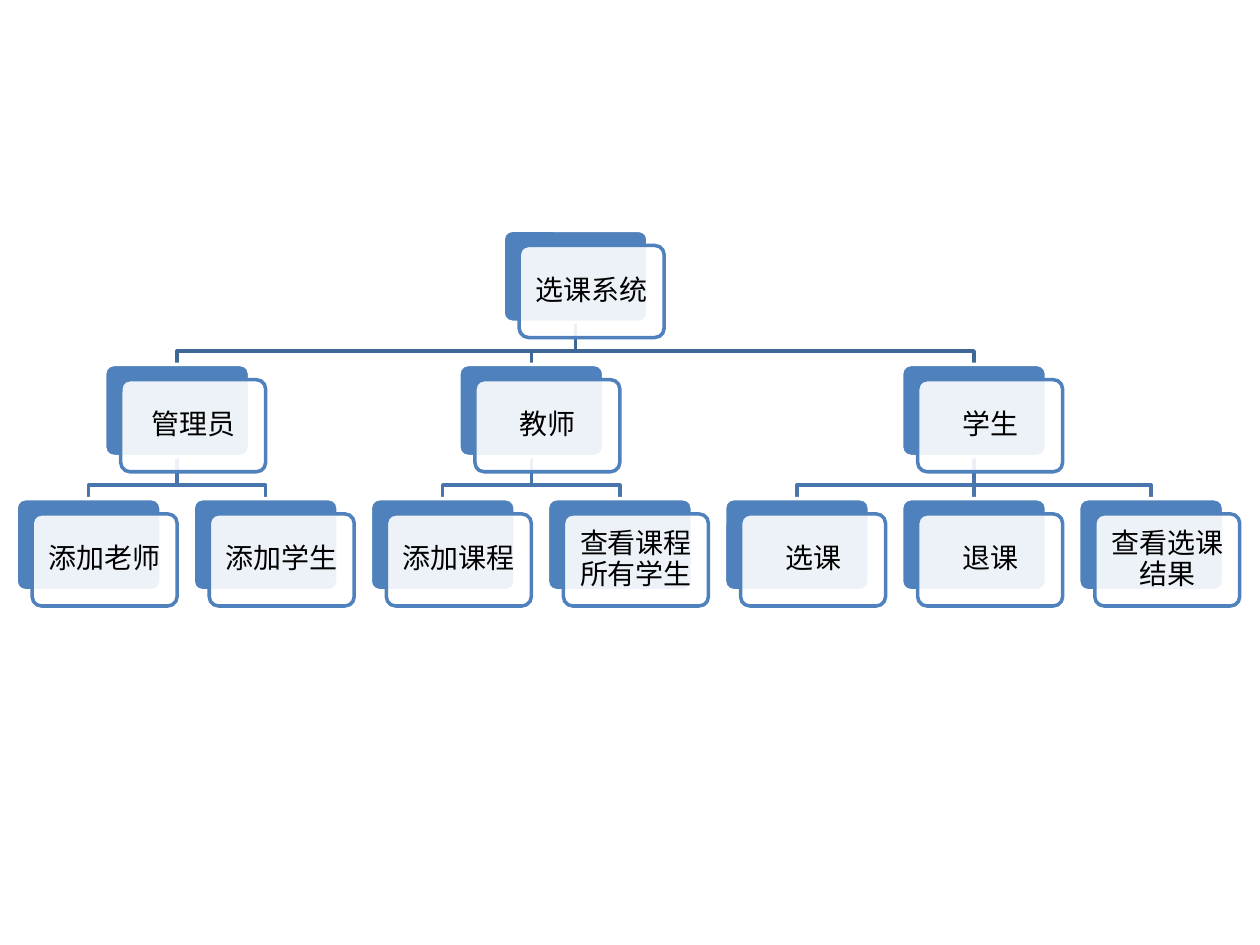
import pptx
from lxml import etree
from pptx.dml.color import RGBColor
from pptx.enum.shapes import MSO_CONNECTOR, MSO_SHAPE
from pptx.enum.text import MSO_ANCHOR, PP_ALIGN
from pptx.oxml.ns import qn
from pptx.util import Pt

COLORS = {
    "accent": "4F81BD",
    "white": "FFFFFF",
    "text": "000000",
    "upper_branch": "3F6797",
    "lower_branch": "4875AC",
}
CARD_WIDTH, CARD_HEIGHT = 82.8, 52.6
COLUMN_STEP, ROW_STEP = 101.2, 76.7
FRONT_DX, FRONT_DY = 9.2, 8.7
BEND = 0.68  # share of the gap between rows above the horizontal run

SYSTEM = ("选课系统", [
    ("管理员", [("添加老师", []), ("添加学生", [])]),
    ("教师", [("添加课程", []), ("查看课程所有学生", [])]),
    ("学生", [("选课", []), ("退课", []), ("查看选课结果", [])]),
])


def rgb(name):
    return RGBColor.from_string(COLORS[name])


def style_line(shape, color):
    shape.line.color.rgb = rgb(color)
    shape.line.width = Pt(2)


def add_panel(slide, left, top, fill, line):
    panel = slide.shapes.add_shape(MSO_SHAPE.ROUNDED_RECTANGLE, Pt(left), Pt(top),
                                   Pt(CARD_WIDTH), Pt(CARD_HEIGHT))
    panel.adjustments[0] = 0.1
    panel.shadow.inherit = False
    panel.fill.solid()
    panel.fill.fore_color.rgb = rgb(fill)
    style_line(panel, line)
    return panel


def add_card(slide, left, top, label):
    """Draw a solid panel with a translucent labelled one in front; return the solid one."""
    back = add_panel(slide, left, top, "accent", "white")
    front = add_panel(slide, left + FRONT_DX, top + FRONT_DY, "white", "accent")
    white = front.fill._xPr.find(qn("a:solidFill"))[0]
    etree.SubElement(white, qn("a:alpha"), val="90000")

    frame = front.text_frame
    frame.word_wrap = True
    frame.vertical_anchor = MSO_ANCHOR.MIDDLE
    frame.margin_left = frame.margin_right = Pt(4.8)
    frame.margin_top = frame.margin_bottom = Pt(4.8)
    frame.text = label
    paragraph = frame.paragraphs[0]
    paragraph.alignment = PP_ALIGN.CENTER
    paragraph.line_spacing = 0.9
    font = paragraph.runs[0].font
    font.name = "Calibri"
    font.size = Pt(16)
    font.color.rgb = rgb("text")
    return back


def add_branch(slide, parent, child, color):
    """Join the bottom of parent to the top of child, behind all cards."""
    start_x, end_x = (card.left + card.width // 2 for card in (parent, child))
    start_y, end_y = parent.top + parent.height, child.top
    if abs(start_x - end_x) < Pt(1):
        branch = slide.shapes.add_connector(MSO_CONNECTOR.STRAIGHT,
                                            start_x, start_y, end_x, end_y)
        branch.begin_connect(parent, 2)
        branch.end_connect(child, 0)
        etree.SubElement(branch._element.spPr, qn("a:effectLst"))
        style_line(branch, color)
    else:
        bend_y = start_y + int((end_y - start_y) * BEND)
        outline = slide.shapes.build_freeform(start_x, start_y)
        outline.add_line_segments([(start_x, bend_y), (end_x, bend_y), (end_x, end_y)],
                                  close=False)
        branch = outline.convert_to_shape()
        branch.shadow.inherit = False
        branch.fill.background()
        style_line(branch, color)
    slide.shapes._spTree.insert(2, branch._element)


def leaf_count(node):
    return sum(map(leaf_count, node[1])) or 1


def centre_offset(node):
    """Distance from a subtree's left edge to its root card, in columns."""
    children = node[1]
    if not children:
        return 0
    last_start = leaf_count(node) - leaf_count(children[-1])
    return (centre_offset(children[0]) + last_start + centre_offset(children[-1])) / 2


def add_tree(slide, node, left, top, level=0):
    """Draw node and its descendants in the box at left, top; return the node's card."""
    label, children = node
    card = add_card(slide, left + centre_offset(node) * COLUMN_STEP, top, label)
    for child in children:
        child_card = add_tree(slide, child, left, top + ROW_STEP, level + 1)
        add_branch(slide, card, child_card, "lower_branch" if level else "upper_branch")
        left += leaf_count(child) * COLUMN_STEP
    return card


def main():
    deck = pptx.Presentation()
    deck.slide_width, deck.slide_height = Pt(720), Pt(540)
    slide = deck.slides.add_slide(deck.slide_layouts[6])
    add_tree(slide, SYSTEM, left=9.2, top=131.6)
    deck.save("out.pptx")


if __name__ == "__main__":
    main()
